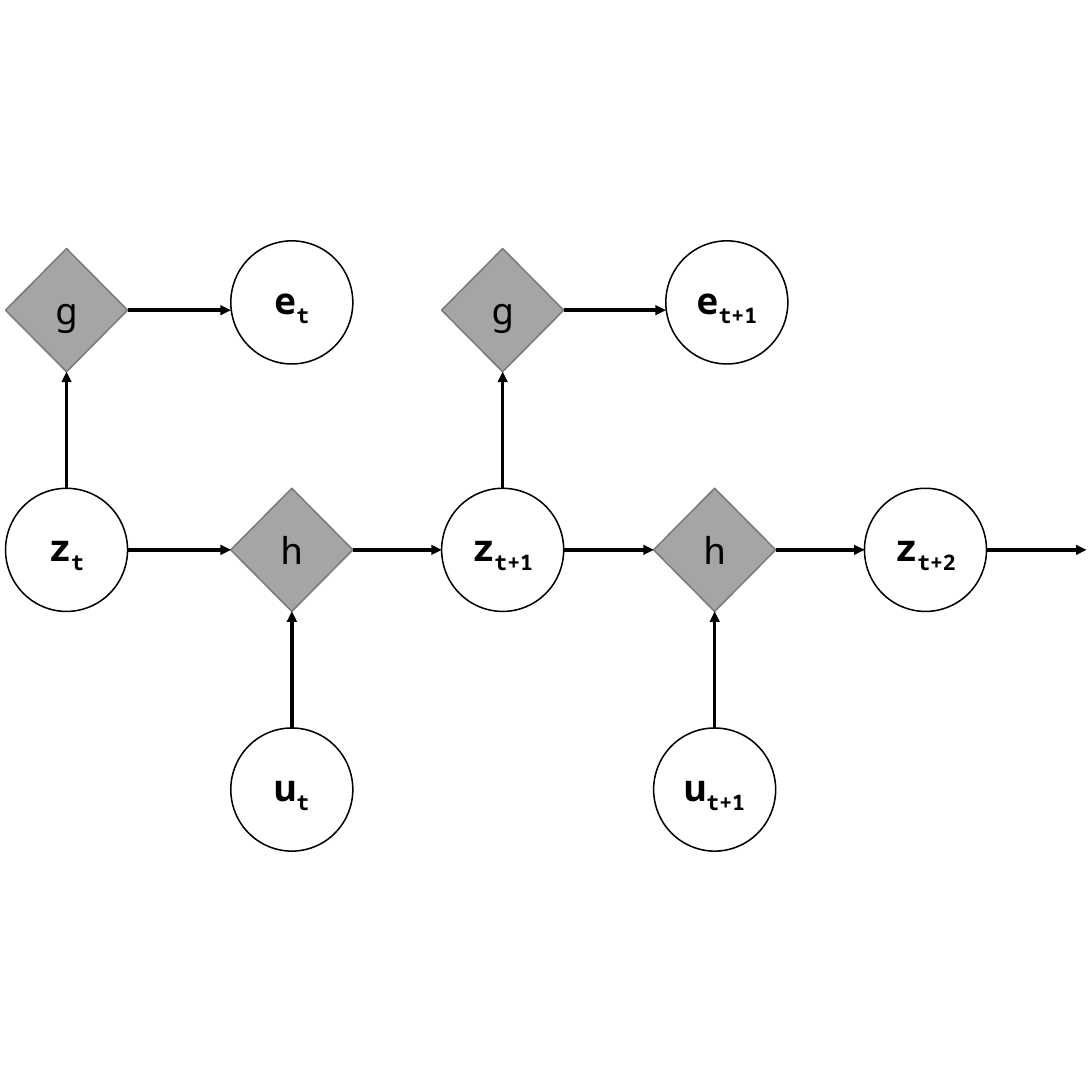
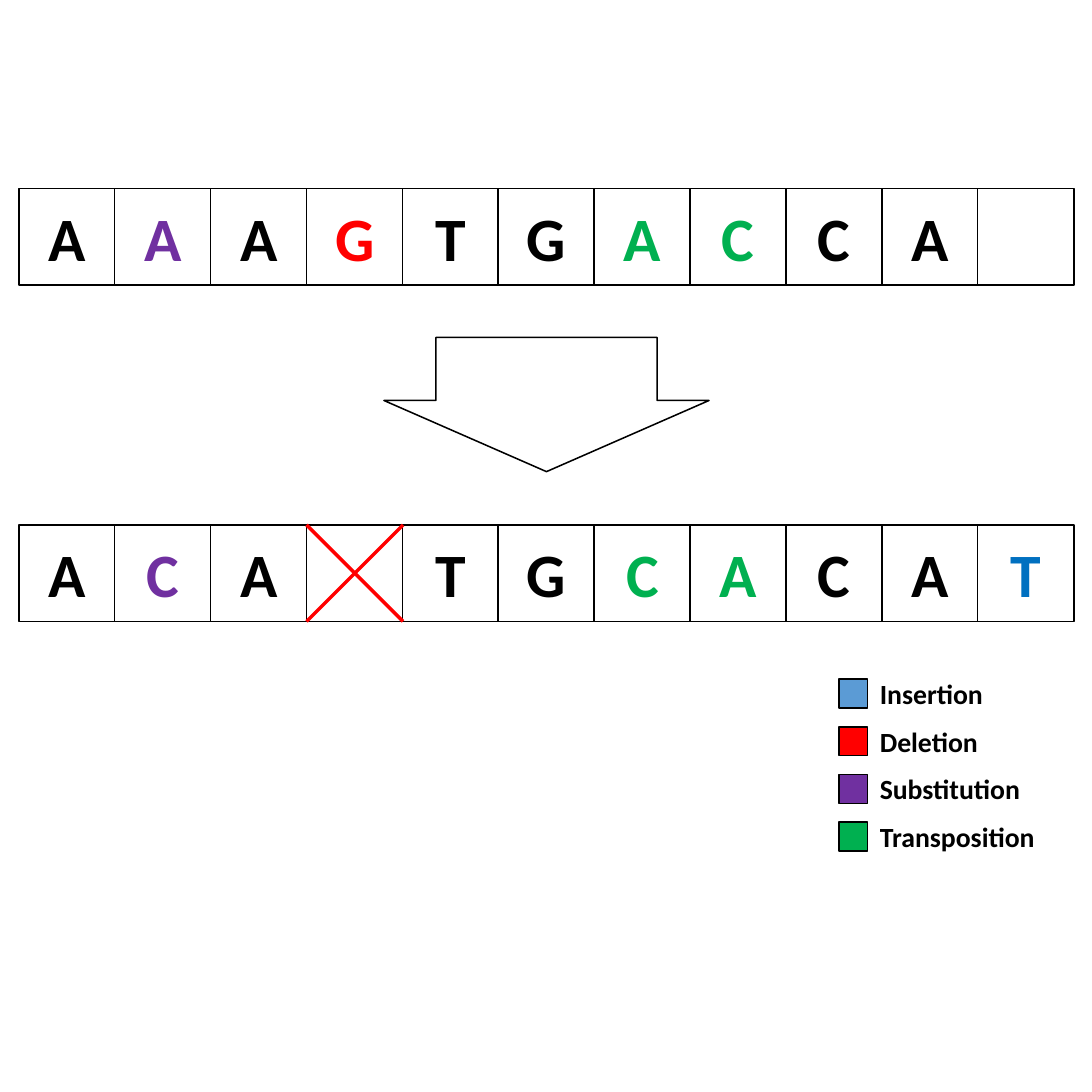
from dataclasses import dataclass

from lxml import etree
from pptx import Presentation
from pptx.dml.color import RGBColor
from pptx.enum import shapes, text
from pptx.oxml.ns import qn
from pptx.util import Inches, Pt


@dataclass(frozen=True)
class Theme:
    black: str = "000000"
    white: str = "FFFFFF"
    function_fill: str = "A5A5A5"
    function_line: str = "7A7A7A"
    inserted: str = "0070C0"
    insertion_key: str = "5B9BD5"
    deletion: str = "FF0000"
    substitution: str = "7030A0"
    transposition: str = "00B050"
    mono: str = "Noto Sans Mono"
    sans: str = "Calibri"
    node_size: float = 24
    base_size: float = 40
    key_size: float = 18
    outline: float = 1
    stroke: float = 2.25


class Sketch:
    """Draws elements on the current slide in one shared style."""

    def __init__(self, deck, theme):
        self.deck, self.theme = deck, theme

    def new_page(self):
        self.page = self.deck.slides.add_slide(self.deck.slide_layouts[6])
        self.canvas = self.page.shapes

    def new_group(self):
        self.canvas = self.page.shapes.add_group_shape().shapes

    def shape(self, kind, left, top, width, height, fill=None, line=None):
        box = self.canvas.add_shape(
            kind, Inches(left), Inches(top), Inches(width), Inches(height))
        box.shadow.inherit = False
        box.fill.solid()
        box.fill.fore_color.rgb = RGBColor.from_string(fill or self.theme.white)
        box.line.color.rgb = RGBColor.from_string(line or self.theme.black)
        box.line.width = Pt(self.theme.outline)
        return box

    def label(self, box, words, font, size, color=None, bold=True, subscript=""):
        para = box.text_frame.paragraphs[0]
        para.font.name, para.font.size, para.font.bold = font, Pt(size), bold
        para.font.color.rgb = RGBColor.from_string(color or self.theme.black)
        para.add_run().text = words
        if subscript:
            span = para.add_run()
            span.text = subscript
            span._r.get_or_add_rPr().set("baseline", "-25000")
        return para

    def center(self, box, words, font, size, **style):
        frame = box.text_frame
        frame.word_wrap = False
        frame.margin_left = frame.margin_right = 0
        frame.margin_top = frame.margin_bottom = 0
        frame.vertical_anchor = text.MSO_ANCHOR.MIDDLE
        para = self.label(box, words, font, size, **style)
        para.alignment = text.PP_ALIGN.CENTER

    def variable(self, left, top, name, index):
        box = self.shape(shapes.MSO_SHAPE.FLOWCHART_CONNECTOR, left, top, *NODE)
        self.center(box, name, self.theme.mono, self.theme.node_size,
                    subscript=index)
        return box

    def function(self, left, top, name):
        box = self.shape(shapes.MSO_SHAPE.DIAMOND, left, top, *NODE,
                         self.theme.function_fill, self.theme.function_line)
        self.center(box, name, self.theme.mono, self.theme.node_size, bold=False)
        return box

    def line(self, x1, y1, x2, y2, color=None, arrow=False):
        link = self.canvas.add_connector(
            shapes.MSO_CONNECTOR.STRAIGHT, x1, y1, x2, y2)
        link.line.color.rgb = RGBColor.from_string(color or self.theme.black)
        link.line.width = Pt(self.theme.stroke)
        if arrow:
            etree.SubElement(link.line._get_or_add_ln(), qn("a:tailEnd"),
                             type="triangle")
        etree.SubElement(link._element.spPr, qn("a:effectLst"))

    def arrow_right(self, source, end):
        middle = source.top + source.height // 2
        self.line(source.left + source.width, middle, end, middle, arrow=True)

    def arrow_up(self, source, target):
        middle = source.left + source.width // 2
        self.line(middle, source.top, middle, target.top + target.height,
                  arrow=True)

    def sequence(self, top, bases, edits):
        """One row of cells; a blank base leaves its cell empty."""
        self.new_group()
        cells = []
        for column, (base, edit) in enumerate(zip(bases, edits)):
            cell = self.shape(shapes.MSO_SHAPE.RECTANGLE,
                              ROW_LEFT + column * PITCH, top, CELL, CELL)
            if base != " ":
                self.center(cell, base, self.theme.sans, self.theme.base_size,
                            color=EDIT_COLORS[edit])
            cells.append(cell)
        return cells

    def cross_out(self, cell):
        right, bottom = cell.left + cell.width, cell.top + cell.height
        for start, end in ((cell.left, right), (right, cell.left)):
            self.line(start, cell.top, end, bottom, self.theme.deletion)

    def key(self, top, words, color):
        self.shape(shapes.MSO_SHAPE.RECTANGLE, 7.56, top, 0.26, 0.26, color)
        box = self.canvas.add_textbox(
            Inches(7.83), Inches(top - 0.07), Inches(1.6), Inches(0.4))
        box.text_frame.word_wrap = True
        self.label(box, words, self.theme.sans, self.theme.key_size)


theme = Theme()
NODE = (1.1, 1.11)
CELL = 0.87
ROW_LEFT, ROW_RIGHT = 0.17, 8.81
PITCH = (ROW_RIGHT - ROW_LEFT) / 10
EDIT_COLORS = {".": theme.black, "i": theme.inserted, "d": theme.deletion,
               "s": theme.substitution, "t": theme.transposition}

deck = Presentation()
deck.slide_width = deck.slide_height = Inches(9.84)
sketch = Sketch(deck, theme)

# State-space diagram: each step emits e, takes input u and leads to the next z
sketch.new_page()
sketch.new_group()
STATE_TOP, INPUT_TOP, EMIT_TOP, OUTPUT_TOP = 4.4, 6.56, 2.24, 2.17
state = sketch.variable(0.05, STATE_TOP, "z", "t")
steps = [("t", 0.05, 2.08, 2.08, 3.98, "t+1"),
         ("t+1", 3.98, 5.89, 6, 7.79, "t+2")]
for index, state_left, move_left, output_left, next_left, next_index in steps:
    emit = sketch.function(state_left, EMIT_TOP, "g")
    output = sketch.variable(output_left, OUTPUT_TOP, "e", index)
    move = sketch.function(move_left, STATE_TOP, "h")
    control = sketch.variable(move_left, INPUT_TOP, "u", index)
    next_state = sketch.variable(next_left, STATE_TOP, "z", next_index)
    sketch.arrow_up(state, emit)
    sketch.arrow_right(emit, output.left)
    sketch.arrow_right(state, move.left)
    sketch.arrow_up(control, move)
    sketch.arrow_right(move, next_state.left)
    state = next_state
sketch.arrow_right(state, Inches(9.79))

# Sequence edits: before, after and colour key
sketch.new_page()
sketch.sequence(1.7, "AAAGTGACCA ", ".s.d..tt...")
edited = sketch.sequence(4.73, "ACA TGCACAT", ".s.d..tt..i")
sketch.cross_out(edited[3])

sketch.new_group()
keys = [("Insertion", theme.insertion_key), ("Deletion", theme.deletion),
        ("Substitution", theme.substitution),
        ("Transposition", theme.transposition)]
for row, (words, color) in enumerate(keys):
    sketch.key(6.12 + row * 0.43, words, color)

sketch.canvas = sketch.page.shapes
change = sketch.shape(shapes.MSO_SHAPE.DOWN_ARROW, 3.46, 3.04, 2.93, 1.21)
change.adjustments[0], change.adjustments[1] = 0.68, 0.53

deck.save("out.pptx")
